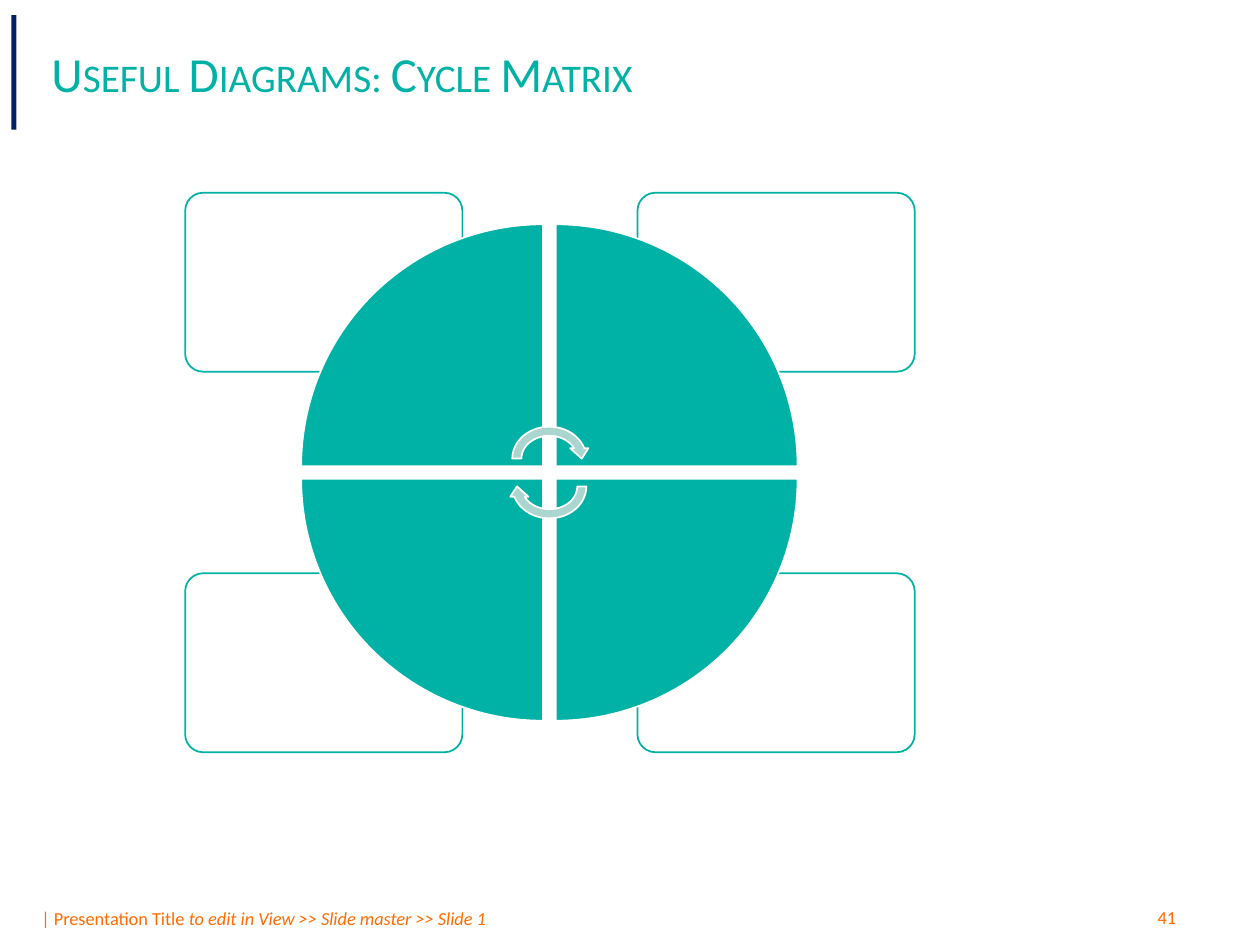
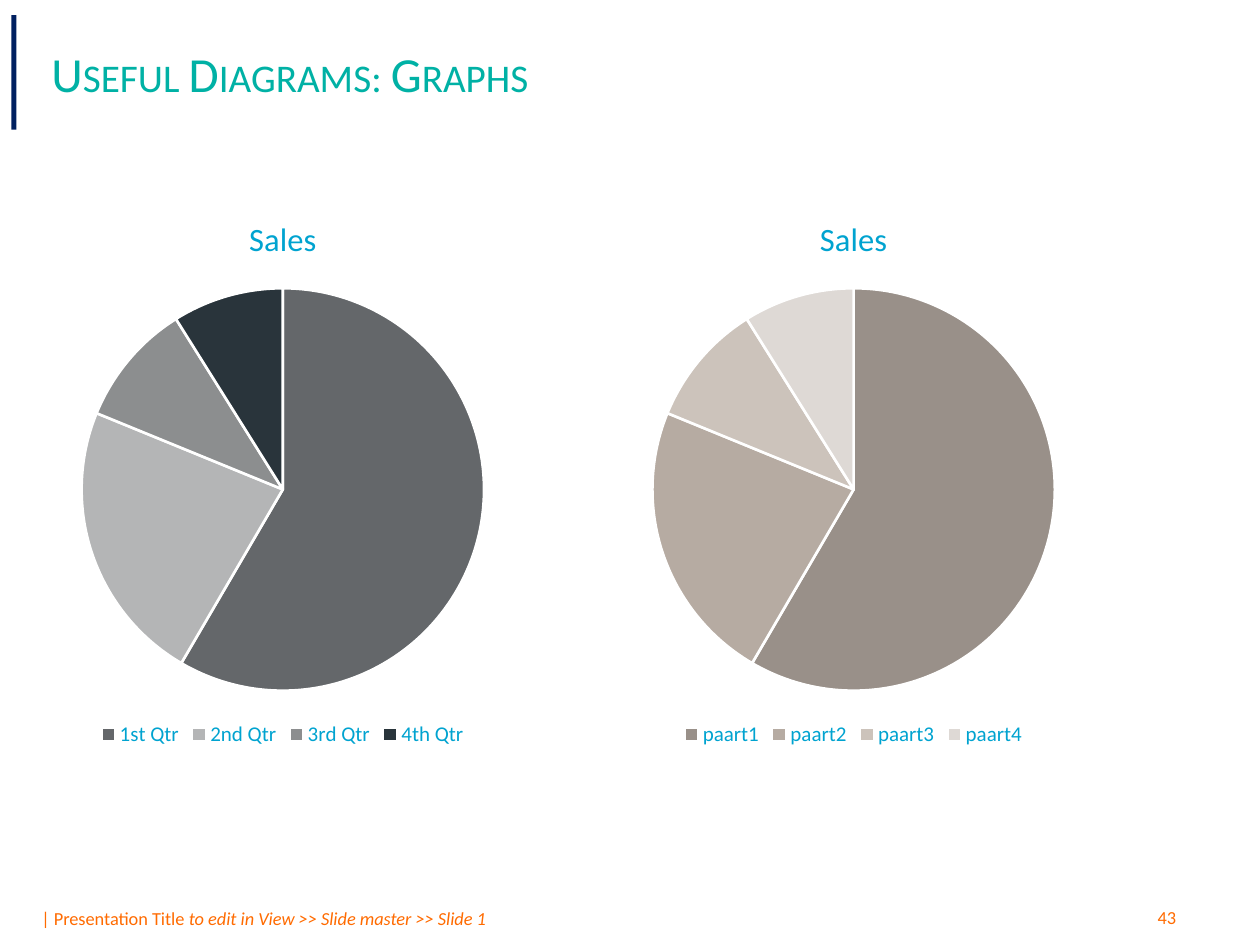
"""Build two slides of diagram samples: a cycle matrix and a pair of pie charts."""
from typing import NamedTuple

from lxml.etree import SubElement
from pptx import Presentation
from pptx.chart.data import CategoryChartData
from pptx.dml.color import RGBColor
from pptx.enum.chart import XL_CHART_TYPE as ChartType, XL_LEGEND_POSITION as LegendPosition
from pptx.enum.shapes import MSO_SHAPE as Shape
from pptx.enum.text import MSO_ANCHOR as Anchor
from pptx.oxml.ns import qn
from pptx.util import Inches, Pt

FONT = "Calibri"
COLORS = {
    "teal": "00B1A5",
    "pale_teal": "ABD5CF",
    "orange": "FF6B00",
    "navy": "002060",
    "blue": "00A3D0",
    "ink": "00242E",
    "white": "FFFFFF",
}


class Box(NamedTuple):
    left: float
    top: float
    width: float
    height: float

    def lengths(self) -> list:
        return [Inches(side) for side in self]


class Quadrant(NamedTuple):
    column: int
    row: int
    rotation: int


class Pie(NamedTuple):
    left: float
    categories: tuple
    slice_colors: tuple


QUADRANTS = (Quadrant(0, 0, 0), Quadrant(1, 0, 90), Quadrant(1, 1, 180), Quadrant(0, 1, 270))
SALES = (59, 23, 10, 9)
PIES = (
    Pie(-1.09, ("1st Qtr", "2nd Qtr", "3rd Qtr", "4th Qtr"),
        ("64676A", "B4B5B6", "8C8E8F", "29343B")),
    Pie(3.44, ("paart1", "paart2", "paart3", "paart4"),
        ("999089", "B6ABA2", "CCC3BB", "DED9D5")),
)


def rgb(color: str) -> RGBColor:
    return RGBColor.from_string(COLORS.get(color, color))


def set_font(font, size: float, color: str) -> None:
    font.name = FONT
    font.size = Pt(size)
    font.color.rgb = rgb(color)


def add_text(slide, box: Box, text: str, *, size: float, color: str, italic_tail: str = "",
             small_caps: bool = False, anchor=Anchor.TOP) -> None:
    frame = slide.shapes.add_textbox(*box.lengths()).text_frame
    frame.word_wrap = True
    frame.vertical_anchor = anchor
    for part, italic in ((text, False), (italic_tail, True)):
        if not part:
            continue
        run = frame.paragraphs[0].add_run()
        run.text = part
        set_font(run.font, size, color)
        if italic:
            run.font.italic = True
        if small_caps:
            run.font._element.set("cap", "small")


def add_block(slide, kind, box: Box, fill: str, line: str = "", rotation: int = 0,
              opacity: int = 100):
    block = slide.shapes.add_shape(kind, *box.lengths())
    block.shadow.inherit = False
    block.rotation = rotation
    block.fill.solid()
    block.fill.fore_color.rgb = rgb(fill)
    if opacity < 100:
        color = block._element.spPr.find(qn("a:solidFill"))[0]
        SubElement(color, qn("a:alpha")).set("val", str(opacity * 1000))
    if line:
        block.line.color.rgb = rgb(line)
        block.line.width = Pt(1)
    else:
        block.line.fill.background()
    return block


def add_page(deck, title: str, number: int):
    slide = deck.slides.add_slide(deck.slide_layouts[6])
    add_text(slide, Box(0.23, 7.15, 8.2, 0.28), "| Presentation Title ", size=10.5,
             color="orange", italic_tail="to edit in View >> Slide master >> Slide 1")
    add_text(slide, Box(9.09, 7.14, 0.8, 0.28), str(number), size=10.5, color="orange")
    add_block(slide, Shape.RECTANGLE, Box(0.09, 0.12, 0.04, 0.91), "navy")
    add_text(slide, Box(0.31, 0.25, 7.39, 0.66), title, size=28, color="teal",
             small_caps=True, anchor=Anchor.MIDDLE)
    return slide


def add_cycle_matrix(slide) -> None:
    wedge, gap = 1.92, 0.1
    for quadrant in QUADRANTS:
        box = Box(1.47 + 3.59 * quadrant.column, 1.53 + 3.02 * quadrant.row, 2.2, 1.42)
        card = add_block(slide, Shape.ROUNDED_RECTANGLE, box, "white", "teal", opacity=90)
        card.adjustments[0] = 0.1
    for quadrant in QUADRANTS:
        box = Box(2.39 + (wedge + gap) * quadrant.column,
                  1.78 + (wedge + gap) * quadrant.row, wedge, wedge)
        add_block(slide, Shape.PIE_WEDGE, box, "teal", "white", quadrant.rotation)
    for top, rotation in ((3.35, 0), (3.57, 180)):
        add_block(slide, Shape.CIRCULAR_ARROW, Box(4.03, top, 0.66, 0.58),
                  "pale_teal", "white", rotation)


def add_pie(slide, pie: Pie) -> None:
    sales = CategoryChartData()
    sales.categories = pie.categories
    sales.add_series("Sales", SALES)
    box = Box(pie.left, 1.53, 6.67, 4.44)
    chart = slide.shapes.add_chart(ChartType.PIE, *box.lengths(), sales).chart
    set_font(chart.font, 10, "ink")
    chart.has_title = True
    heading = chart.chart_title.text_frame
    heading.text = "Sales"
    set_font(heading.paragraphs[0].runs[0].font, 18.6, "blue")
    heading.paragraphs[0].runs[0].font.bold = False
    chart.chart_title.include_in_layout = False
    chart.has_legend = True
    chart.legend.position = LegendPosition.BOTTOM
    chart.legend.include_in_layout = False
    set_font(chart.legend.font, 12, "blue")
    plot = chart.plots[0]
    plot.vary_by_categories = True
    for index, color in enumerate(pie.slice_colors):
        quarter = plot.series[0].points[index].format
        quarter.fill.solid()
        quarter.fill.fore_color.rgb = rgb(color)
        quarter.line.color.rgb = rgb("white")
        quarter.line.width = Pt(1.5)


def main() -> None:
    deck = Presentation()
    deck.slide_width, deck.slide_height = Inches(10), Inches(7.5)
    add_cycle_matrix(add_page(deck, "Useful Diagrams: Cycle Matrix", 41))
    graphs = add_page(deck, "Useful Diagrams: Graphs", 43)
    for pie in PIES:
        add_pie(graphs, pie)
    deck.save("out.pptx")


if __name__ == "__main__":
    main()
